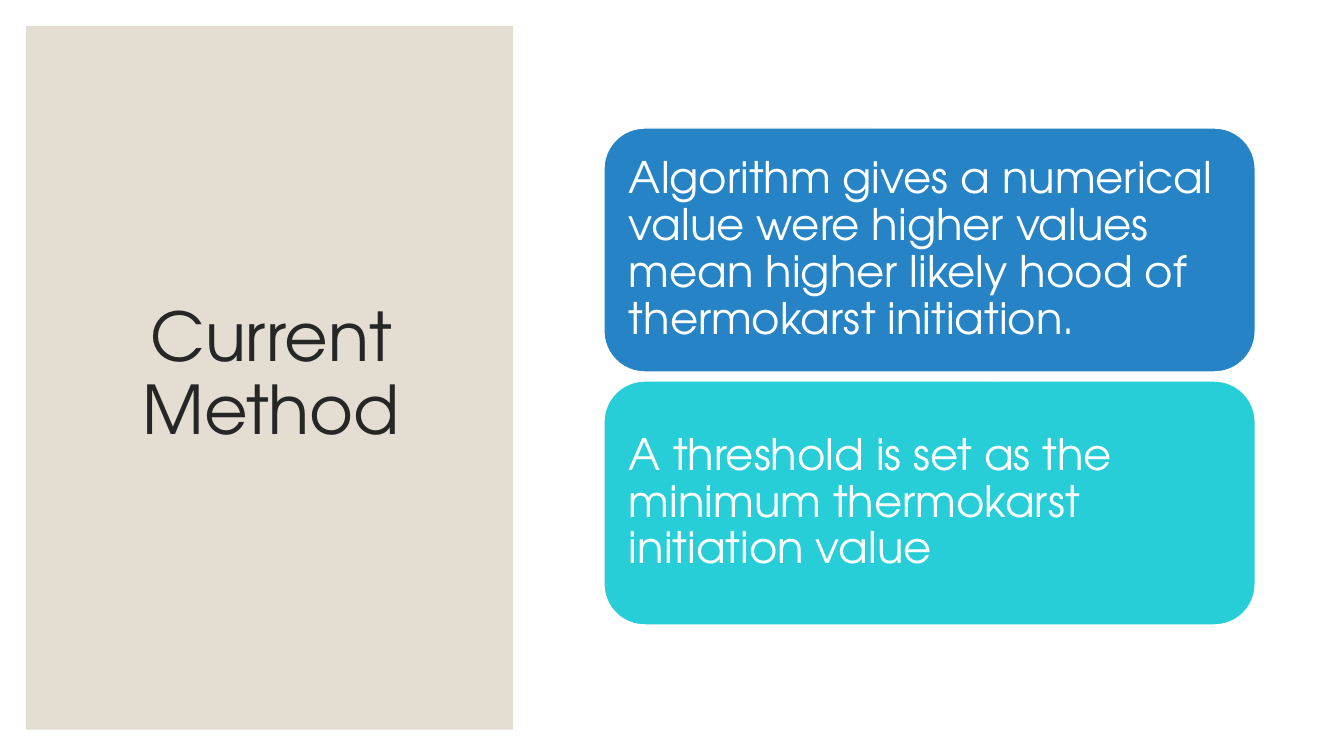
from pptx import Presentation
from pptx.dml.color import RGBColor
from pptx.enum.shapes import MSO_SHAPE as SHAPE
from pptx.enum.text import MSO_ANCHOR as ANCHOR, MSO_AUTO_SIZE as AUTO, PP_ALIGN as ALIGN
from pptx.util import Pt

PX = 9144
FONT = "TeX Gyre Adventor"
WHITE = RGBColor(0xFF, 0xFF, 0xFF)
SAND = RGBColor(0xE3, 0xDE, 0xD1)
INK = RGBColor(0x26, 0x26, 0x26)
BLUE = RGBColor(0x26, 0x83, 0xC6)
TURQUOISE = RGBColor(0x27, 0xCE, 0xD7)

POINTS = [
    ("Algorithm gives a numerical value were higher values mean higher likely hood "
     "of thermokarst initiation.", BLUE),
    ("A threshold is set as the minimum thermokarst initiation value", TURQUOISE),
]


def add_box(slide, shape, x, y, w, h, fill):
    sp = slide.shapes.add_shape(shape, x * PX, y * PX, w * PX, h * PX)
    sp.shadow.inherit = False
    sp.fill.solid()
    sp.fill.fore_color.rgb = fill
    return sp


def write(sp, text, size, color, align, inset_x, inset_y):
    tf = sp.text_frame
    tf.text = text
    tf.word_wrap = True
    tf.auto_size = AUTO.NONE
    tf.vertical_anchor = ANCHOR.MIDDLE
    tf.margin_left = tf.margin_right = inset_x * PX
    tf.margin_top = tf.margin_bottom = inset_y * PX
    p = tf.paragraphs[0]
    p.alignment = align
    p.line_spacing = 0.9
    p.space_before = Pt(0)
    p.font.name = FONT
    p.font.size = Pt(size)
    p.font.color.rgb = color


def add_title_panel(slide, x, y, w, h):
    panel = add_box(slide, SHAPE.RECTANGLE, x, y, w, h, SAND)
    panel.line.fill.background()
    title = slide.shapes.title
    title.element.addprevious(panel.element)
    title.left, title.top = (x + 37) * PX, (y + 35) * PX
    title.width, title.height = (w - 71) * PX, (h - 74) * PX
    write(title, "Current Method", 48, INK, ALIGN.CENTER, 10, 5)


def add_points(slide, x, y, w, h, gap=9):
    card_h = (h - gap * (len(POINTS) - 1)) // len(POINTS)
    for i, (text, fill) in enumerate(POINTS):
        card = add_box(slide, SHAPE.ROUNDED_RECTANGLE,
                       x, y + i * (card_h + gap), w, card_h, fill)
        card.line.color.rgb = WHITE
        card.line.width = Pt(1)
        write(card, text, 31, WHITE, ALIGN.LEFT, 13, 13)


def main():
    prs = Presentation()
    prs.slide_width, prs.slide_height = 1333 * PX, 750 * PX
    slide = prs.slides.add_slide(prs.slide_layouts[5])
    slide.background.fill.solid()
    slide.background.fill.fore_color.rgb = WHITE
    add_title_panel(slide, 26, 26, 483, 698)
    add_points(slide, 599, 127, 646, 493)
    prs.save("out.pptx")


if __name__ == "__main__":
    main()
